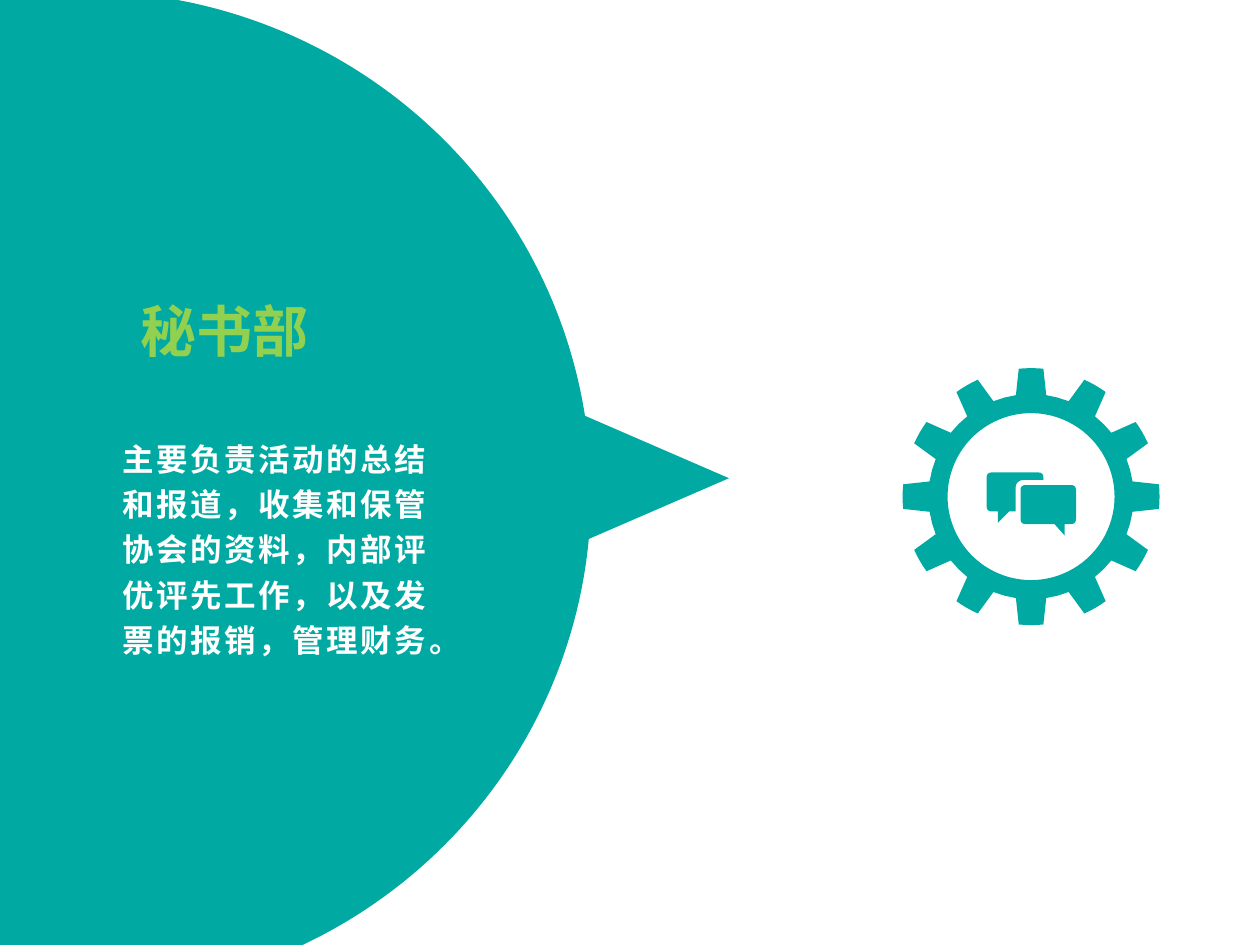
from dataclasses import dataclass
from math import cos, radians, sin

from lxml.etree import SubElement
from pptx import Presentation
from pptx.dml.color import RGBColor
from pptx.enum.shapes import MSO_SHAPE as Shape
from pptx.enum.text import MSO_AUTO_SIZE as AutoSize, PP_ALIGN as Align
from pptx.oxml.ns import qn
from pptx.util import Length, Pt

TEAL, GREEN, WHITE = "00AAA2", "92D050", "FFFFFF"
FONT = "Noto Sans CJK SC"
UNITS = 100  # freeform units per point

Point = tuple[float, float]


@dataclass
class Preset:
    kind: Shape
    left: float
    top: float
    width: float
    height: float
    rotation: float = 0


@dataclass
class Label:
    text: str
    left: float
    top: float
    width: float
    height: float
    size: float
    color: str
    line_spacing: float | Length
    align: Align = Align.LEFT
    tracking: int = 0  # hundredths of a point


def rgb(value: str) -> RGBColor:
    return RGBColor.from_string(value)


def paint(sp, color: str) -> None:
    sp.shadow.inherit = False
    sp.fill.solid()
    sp.fill.fore_color.rgb = rgb(color)
    sp.line.fill.background()


def add_preset(shapes, item: Preset) -> None:
    box = map(Pt, (item.left, item.top, item.width, item.height))
    sp = shapes.add_shape(item.kind, *box)
    sp.rotation = item.rotation
    paint(sp, TEAL)


def add_outline(shapes, *contours: list[Point]) -> None:
    """Draw closed contours as one shape; later contours cut holes."""
    first, *holes = [[(x * UNITS, y * UNITS) for x, y in c] for c in contours]
    builder = shapes.build_freeform(*first[0], scale=Pt(1) / UNITS)
    builder.add_line_segments(first[1:], close=True)
    for hole in holes:
        builder.move_to(*hole[0])
        builder.add_line_segments(hole[1:], close=True)
    paint(builder.convert_to_shape(), TEAL)


def add_label(shapes, item: Label) -> None:
    box = map(Pt, (item.left, item.top, item.width, item.height))
    tf = shapes.add_textbox(*box).text_frame
    tf.word_wrap = True
    tf.auto_size = AutoSize.SHAPE_TO_FIT_TEXT
    tf.margin_left = tf.margin_right = Pt(9.4)
    tf.margin_top = tf.margin_bottom = Pt(4.3)
    p = tf.paragraphs[0]
    p.alignment = item.align
    p.line_spacing = item.line_spacing
    r = p.add_run()
    r.text = item.text
    font = p.font
    font.name, font.size, font.bold = FONT, Pt(item.size), True
    font.color.rgb = rgb(item.color)
    # East Asian typeface and letter spacing
    SubElement(p._p.pPr.find(qn("a:defRPr")), qn("a:ea"), typeface=FONT)
    if item.tracking:
        r._r.get_or_add_rPr().set("spc", str(item.tracking))


def polar(center: Point, radius: float, degrees: float) -> Point:
    angle = radians(degrees)
    return center[0] + radius * cos(angle), center[1] + radius * sin(angle)


def gear(center: Point, teeth: int, tip: float, root: float) -> list[Point]:
    """Each tooth is 17 degrees wide at the root and 11 at the tip."""
    profile = [(root, -8.5), (tip, -5.5), (tip, -2.75), (tip, 0),
               (tip, 2.75), (tip, 5.5), (root, 8.5), (root, 15)]
    step = 360 / teeth
    return [polar(center, radius, i * step + offset)
            for i in range(teeth) for radius, offset in profile]


def circle(center: Point, radius: float) -> list[Point]:
    return [polar(center, radius, -a) for a in range(0, 360, 4)]


def rounded(corners: list[tuple[float, float, float]]) -> list[Point]:
    """Turn (x, y, radius) corners into points, bending each with a curve."""
    points: list[Point] = []
    for i, (x, y, radius) in enumerate(corners):
        if not radius:
            points.append((x, y))
            continue
        ends = []
        for nx, ny, _ in (corners[i - 1], corners[(i + 1) % len(corners)]):
            part = radius / ((nx - x) ** 2 + (ny - y) ** 2) ** 0.5
            ends.append((x + (nx - x) * part, y + (ny - y) * part))
        (ax, ay), (bx, by) = ends
        for t in (k / 6 for k in range(7)):
            u = 1 - t
            points.append((u * u * ax + 2 * u * t * x + t * t * bx,
                           u * u * ay + 2 * u * t * y + t * t * by))
    return points


CALLOUT = [
    Preset(Shape.ISOSCELES_TRIANGLE, 320.4, 221.8, 89.3, 103, rotation=90),
    Preset(Shape.OVAL, -242.6, -5, 580.3, 573.1, rotation=180),
]
LABELS = [
    Label("主要负责活动的总结和报道，收集和保管协会的资料，内部评优评先工作，"
          "以及发票的报销，管理财务。",
          60.5, 242.6, 207.4, 137.5, 18, WHITE, 1.2, tracking=150),
    Label("秘书部", 70.6, 188.6, 136.1, 28.1, 32, GREEN, Pt(15.1), Align.JUSTIFY),
]
GEAR_CENTER = (589.2, 283.8)
BACK_BUBBLE = [
    (563.8, 270, 3), (596.2, 270, 3), (596.2, 274.3, 0), (580.3, 274.3, 5),
    (580.3, 292.3, 0), (576.7, 292.3, 0), (570.2, 298.8, 0),
    (570.2, 292.3, 0), (563.8, 292.3, 3),
]
FRONT_BUBBLE = [
    (583.2, 277.2, 3), (614.9, 277.2, 3), (614.9, 299.5, 3),
    (608.4, 299.5, 0), (608.4, 306, 0), (602.6, 299.5, 0), (583.2, 299.5, 3),
]


def main() -> None:
    prs = Presentation()
    prs.slide_width, prs.slide_height = Pt(720), Pt(540)
    s = prs.slides.add_slide(prs.slide_layouts[6])

    # Large round callout pointing right
    callout = s.shapes.add_group_shape()
    for item in CALLOUT:
        add_preset(callout.shapes, item)

    # Department name and duties
    for label in LABELS:
        add_label(s.shapes, label)

    # Gear with speech bubbles
    icon = s.shapes.add_group_shape()
    add_outline(icon.shapes, gear(GEAR_CENTER, 12, 73.4, 58.6),
                circle(GEAR_CENTER, 47.7))
    for bubble in (BACK_BUBBLE, FRONT_BUBBLE):
        add_outline(icon.shapes, rounded(bubble))

    prs.save("out.pptx")


if __name__ == "__main__":
    main()
